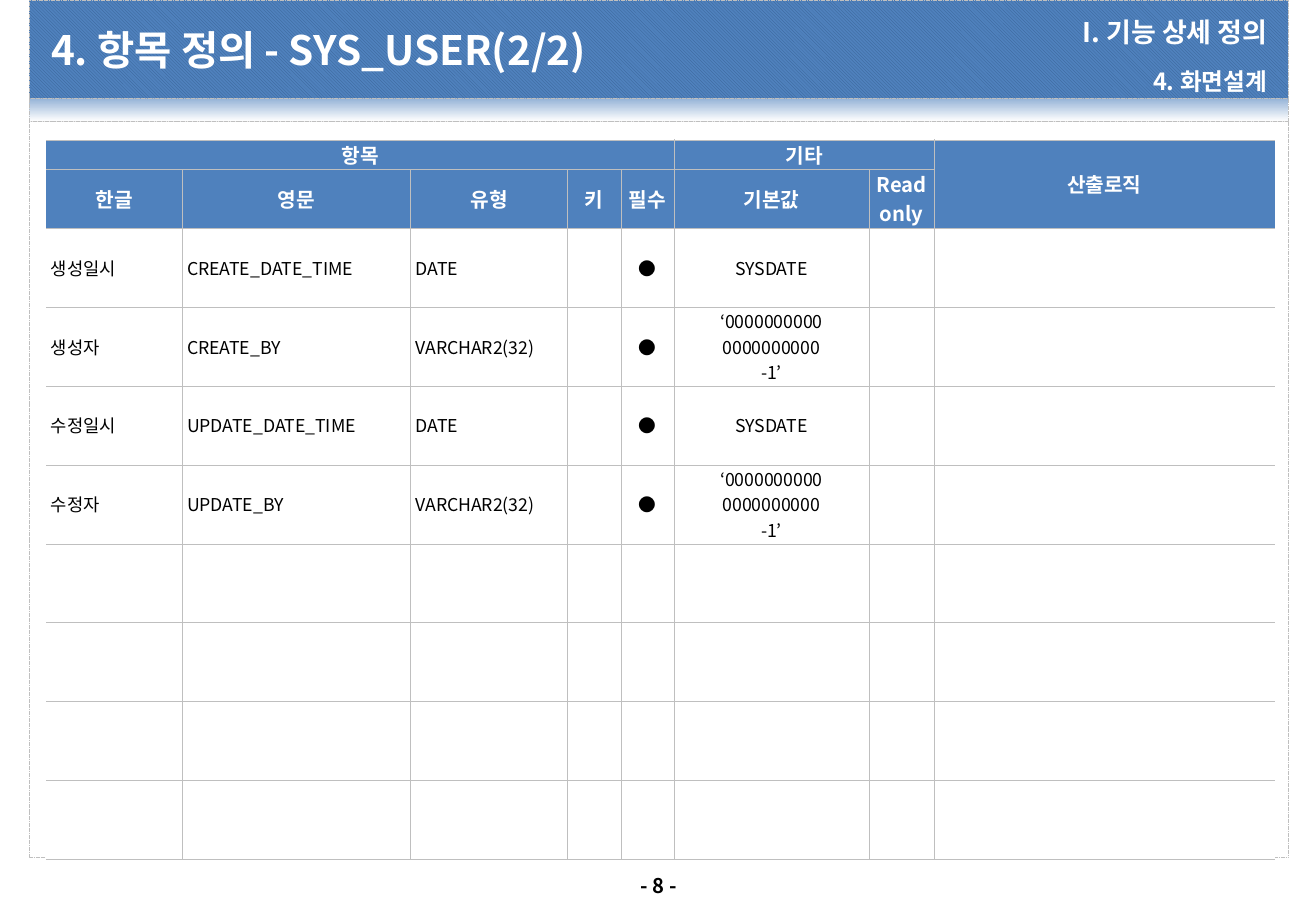
from lxml import etree
from pptx import Presentation
from pptx.dml.color import RGBColor
from pptx.enum.dml import MSO_LINE, MSO_PATTERN
from pptx.enum.shapes import MSO_SHAPE
from pptx.enum.text import MSO_ANCHOR, MSO_AUTO_SIZE, PP_ALIGN
from pptx.oxml.ns import qn
from pptx.util import Inches, Pt

FONT = "Noto Sans CJK KR"
WHITE = RGBColor(0xFF, 0xFF, 0xFF)
BLACK = RGBColor(0, 0, 0)
BLUE = RGBColor(0x4F, 0x81, 0xBD)
NAVY = RGBColor(0x37, 0x60, 0x92)
SKY = RGBColor(0x95, 0xB3, 0xD7)
GREY = RGBColor(0xBF, 0xBF, 0xBF)

TITLE = "4. 항목 정의 - SYS_USER(2/2)"
CHAPTER = "I. 기능 상세 정의"
SECTION = "4. 화면설계"
PAGE = "- 8 -"
NIL_ID = "‘0000000000\n0000000000\n-1’"
HEADERS = [
    ["항목", "", "", "", "", "기타", "", "산출로직"],
    ["한글", "영문", "유형", "키", "필수", "기본값", "Read only", ""],
]
FIELDS = [
    ["생성일시", "CREATE_DATE_TIME", "DATE", "", "●", "SYSDATE", "", ""],
    ["생성자", "CREATE_BY", "VARCHAR2(32)", "", "●", NIL_ID, "", ""],
    ["수정일시", "UPDATE_DATE_TIME", "DATE", "", "●", "SYSDATE", "", ""],
    ["수정자", "UPDATE_BY", "VARCHAR2(32)", "", "●", NIL_ID, "", ""],
]
BLANK_ROWS = 4
MERGES = [((0, 0), (0, 4)), ((0, 5), (0, 6)), ((0, 7), (1, 7))]
COL_WIDTHS = [1.12, 1.88, 1.29, 0.44, 0.44, 1.6, 0.54, 2.8]
HEADER_HEIGHTS = [0.19, 0.38]
FIELD_HEIGHT = 0.65
LEFT_COLS = 3


def format_text(tf, size, color, bold=True, align=PP_ALIGN.LEFT):
    """Apply one font and alignment to every paragraph."""
    for p in tf.paragraphs:
        p.alignment = align
        for r in p.runs:
            r.font.name, r.font.size, r.font.bold = FONT, Pt(size), bold
            r.font.color.rgb = color
            ea = etree.SubElement(r.font._element, qn("a:ea"))
            ea.set("typeface", FONT)


def set_frame(tf, margin, wrap=True):
    """Set equal margins and middle anchoring."""
    tf.auto_size = MSO_AUTO_SIZE.NONE
    tf.word_wrap = wrap
    tf.vertical_anchor = MSO_ANCHOR.MIDDLE
    tf.margin_left = tf.margin_right = Inches(margin)
    tf.margin_top = tf.margin_bottom = Inches(margin)


def add_panel(s, top, height):
    """Add a full-width panel with a thin dashed outline."""
    sp = s.shapes.add_shape(MSO_SHAPE.RECTANGLE, Inches(0.24), Inches(top),
                            Inches(10.36), Inches(height))
    sp.shadow.inherit = False
    sp.line.color.rgb = GREY
    sp.line.width = Pt(0.25)
    sp.line.dash_style = MSO_LINE.SQUARE_DOT
    return sp


def add_label(s, text, box, size, color, align, margin=0.04, wrap=True):
    """Add a bold text box."""
    tf = s.shapes.add_textbox(*map(Inches, box)).text_frame
    tf.text = text
    set_frame(tf, margin, wrap)
    format_text(tf, size, color, align=align)
    return tf


def set_borders(cell, hidden):
    """Draw thin grey cell edges except the hidden ones."""
    tcPr = cell._tc.get_or_add_tcPr()
    for i, edge in enumerate(("lnL", "lnR", "lnT", "lnB")):
        ln = etree.Element(qn(f"a:{edge}"), w=str(Pt(0.25)))
        if edge in hidden:
            etree.SubElement(ln, qn("a:noFill"))
        else:
            fill = etree.SubElement(ln, qn("a:solidFill"))
            etree.SubElement(fill, qn("a:srgbClr"), val=str(GREY))
        tcPr.insert(i, ln)


def add_field_table(s):
    """Add the field definition table."""
    rows = HEADERS + FIELDS + [[""] * len(COL_WIDTHS)] * BLANK_ROWS
    field_count = len(rows) - len(HEADERS)
    heights = HEADER_HEIGHTS + [FIELD_HEIGHT] * field_count
    last = len(COL_WIDTHS) - 1
    table = s.shapes.add_table(len(rows), len(COL_WIDTHS), Inches(0.38), Inches(1.15),
                               Inches(sum(COL_WIDTHS)), Inches(sum(heights))).table
    table.first_row = table.horz_banding = False
    for col, width in zip(table.columns, COL_WIDTHS):
        col.width = Inches(width)
    for row, height in zip(table.rows, heights):
        row.height = Inches(height)
    for i, values in enumerate(rows):
        header = i < len(HEADERS)
        for j, value in enumerate(values):
            cell = table.cell(i, j)
            cell.text = value
            cell.margin_left = cell.margin_right = Inches(0.04)
            cell.margin_top = cell.margin_bottom = 0
            cell.vertical_anchor = MSO_ANCHOR.MIDDLE
            cell.fill.solid()
            cell.fill.fore_color.rgb = BLUE if header else WHITE
            left = not header and j < LEFT_COLS
            format_text(cell.text_frame, 12 if header else 10.5,
                        WHITE if header else BLACK, header,
                        PP_ALIGN.LEFT if left else PP_ALIGN.CENTER)
            set_borders(cell, {0: ["lnL"], last: ["lnR"]}.get(j, []))
    for start, end in MERGES:
        table.cell(*start).merge(table.cell(*end))


prs = Presentation()
prs.slide_width, prs.slide_height = Inches(10.83), Inches(7.5)
s = prs.slides.add_slide(prs.slide_layouts[5])

fade = add_panel(s, 0.81, 0.19)
fade.fill.gradient()
fade.fill.gradient_angle = 270
for stop, color, position in zip(fade.fill.gradient_stops, (SKY, WHITE), (0, 1)):
    stop.color.rgb = color
    stop.position = position

body = add_panel(s, 1, 6.06)
body.fill.solid()
body.fill.fore_color.rgb = WHITE

add_label(s, PAGE, (5.08, 7.14, 0.68, 0.3), 12, BLACK, PP_ALIGN.CENTER, 0.05, False)

banner = add_panel(s, 0, 0.81)
banner.rotation = 180
banner.fill.patterned()
banner.fill.pattern = MSO_PATTERN.LIGHT_DOWNWARD_DIAGONAL
banner.fill.fore_color.rgb = NAVY
banner.fill.back_color.rgb = BLUE

add_label(s, CHAPTER, (7.07, 0.08, 3.4, 0.37), 16, WHITE, PP_ALIGN.RIGHT)

title = s.shapes.title
banner._element.addnext(title._element)
title.left, title.top, title.width, title.height = map(Inches, (0.38, 0.08, 6.69, 0.66))
title.text_frame.text = TITLE
set_frame(title.text_frame, 0.04)
format_text(title.text_frame, 24, WHITE)

p = add_label(s, SECTION, (7.07, 0.47, 3.4, 0.27), 14, WHITE, PP_ALIGN.RIGHT).paragraphs[0]
p.line_spacing = 1.5
p.space_before = p.space_after = Pt(2.8)

add_field_table(s)
prs.save("out.pptx")
